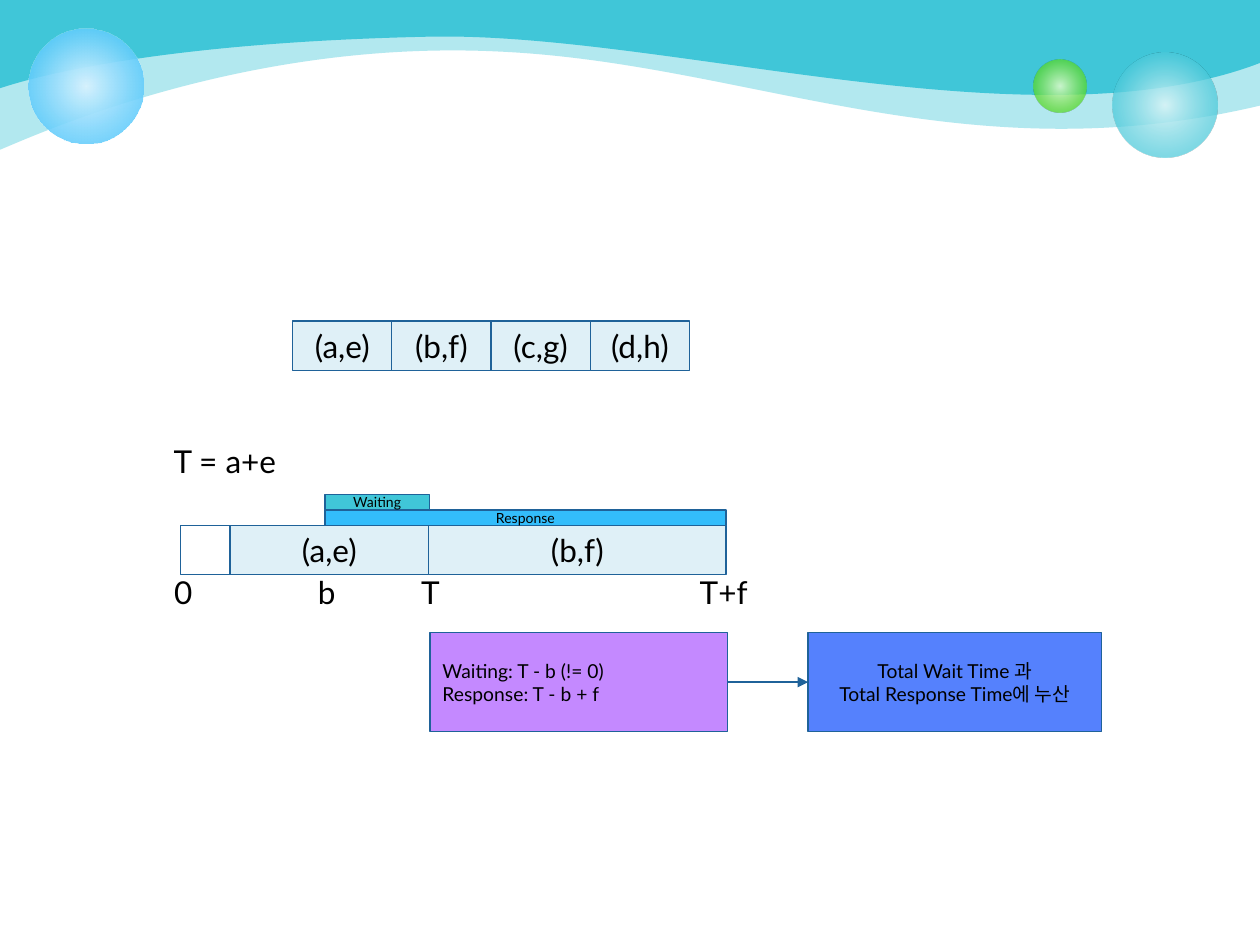
import itertools
from dataclasses import dataclass
from typing import Optional

import lxml.etree
import pptx
import pptx.dml.color
import pptx.enum.shapes
import pptx.enum.text
import pptx.oxml
import pptx.oxml.ns
import pptx.util

Cm = pptx.util.Cm
ALIGN = pptx.enum.text.PP_ALIGN
ANCHOR = pptx.enum.text.MSO_ANCHOR
SHAPES = pptx.enum.shapes.MSO_SHAPE
qn = pptx.oxml.ns.qn


@dataclass(frozen=True)
class Theme:
    font: str = "Lato"
    text: str = "000000"
    outline: str = "1F6299"
    job: str = "DFF0F7"
    idle: str = "FFFFFF"
    teal: str = "40C6D8"
    sky: str = "33BDFB"
    violet: str = "C489FF"
    blue: str = "5581FD"
    large: float = 18
    medium: float = 11
    small: float = 8
    line: float = 0.75


THEME = Theme()


@dataclass(frozen=True)
class Box:
    """A rectangle (or a plain label without fill), in centimetres."""
    text: str
    left: float
    top: float
    width: float
    height: float
    fill: Optional[str] = None
    size: float = THEME.large
    align: ALIGN = ALIGN.CENTER
    anchor: ANCHOR = ANCHOR.MIDDLE


@dataclass(frozen=True)
class Wave:
    """A header band: Bezier curves from the top left corner, in centimetres."""
    curves: tuple
    opacity: int


@dataclass(frozen=True)
class Bubble:
    left: float
    top: float
    size: float
    stops: tuple  # (position %, colour, opacity %)


def rgb(colour: str) -> pptx.dml.color.RGBColor:
    return pptx.dml.color.RGBColor.from_string(colour)


def write_text(shape, text: str, *, size: float, align: ALIGN, anchor: ANCHOR) -> None:
    frame = shape.text_frame
    frame.word_wrap = True
    frame.vertical_anchor = anchor
    frame.margin_left = frame.margin_right = Cm(0.25)
    frame.margin_top = frame.margin_bottom = Cm(0.25)
    frame.text = text
    for paragraph in frame.paragraphs:
        paragraph.alignment = align
        paragraph.font.name = THEME.font
        paragraph.font.size = pptx.util.Pt(size)
        paragraph.font.color.rgb = rgb(THEME.text)


def draw_box(slide, box: Box):
    place = Cm(box.left), Cm(box.top), Cm(box.width), Cm(box.height)
    if box.fill:
        shape = slide.shapes.add_shape(SHAPES.RECTANGLE, *place)
        shape.shadow.inherit = False
        shape.fill.solid()
        shape.fill.fore_color.rgb = rgb(box.fill)
        shape.line.color.rgb = rgb(THEME.outline)
        shape.line.width = pptx.util.Pt(THEME.line)
    else:
        shape = slide.shapes.add_textbox(*place)
    if box.text:
        write_text(shape, box.text, size=box.size, align=box.align, anchor=box.anchor)
    return shape


def draw_wave(slide, wave: Wave) -> None:
    builder = slide.shapes.build_freeform(0, 0, scale=1.0)
    builder.add_line_segments([(Cm(x), Cm(y)) for curve in wave.curves for x, y in curve])
    band = builder.convert_to_shape()
    # Turn every three straight segments into one cubic curve
    segments = list(band._element.spPr.iter(qn("a:lnTo")))
    for first in range(0, len(segments), 3):
        curve = lxml.etree.Element(qn("a:cubicBezTo"))
        segments[first].addprevious(curve)
        for segment in segments[first:first + 3]:
            curve.append(segment[0])
            segment.getparent().remove(segment)
    band.shadow.inherit = False
    band.fill.solid()
    band.fill.fore_color.rgb = rgb(THEME.teal)
    band.line.fill.background()
    if wave.opacity < 100:
        colour = band._element.spPr.find(qn("a:solidFill"))[0]
        lxml.etree.SubElement(colour, qn("a:alpha"), val=str(wave.opacity * 1000))


def draw_bubble(slide, bubble: Bubble) -> None:
    shape = slide.shapes.add_shape(SHAPES.OVAL, Cm(bubble.left), Cm(bubble.top),
                                   Cm(bubble.size), Cm(bubble.size))
    shape.shadow.inherit = False
    shape.line.fill.background()
    stops = "".join(
        f'<a:gs pos="{position * 1000}"><a:srgbClr val="{colour}">'
        f'<a:alpha val="{opacity * 1000}"/></a:srgbClr></a:gs>'
        for position, colour, opacity in bubble.stops)
    gradient = pptx.oxml.parse_xml(
        f'<a:gradFill {pptx.oxml.ns.nsdecls("a")} rotWithShape="1"><a:gsLst>{stops}</a:gsLst>'
        '<a:path path="circle"><a:fillToRect l="50000" t="50000" r="50000" b="50000"/>'
        '</a:path></a:gradFill>')
    shape._element.spPr.find(qn("a:prstGeom")).addnext(gradient)


def draw_arrow(slide, source, target) -> None:
    arrow = slide.shapes.add_connector(pptx.enum.shapes.MSO_CONNECTOR.STRAIGHT, 0, 0, 0, 0)
    arrow.begin_connect(source, 3)
    arrow.end_connect(target, 1)
    arrow.line.color.rgb = rgb(THEME.outline)
    arrow.line.width = pptx.util.Pt(THEME.line)
    outline = arrow._element.spPr.find(qn("a:ln"))
    lxml.etree.SubElement(outline, qn("a:tailEnd"), type="triangle")
    lxml.etree.SubElement(arrow._element.spPr, qn("a:effectLst"))


# Header decoration: left edge, two swells, right edge
WAVES = (
    Wave((((0, 1.19), (0, 1.85), (0, 3.02)),
          ((0.84, 2.67), (5, 0.79), (10.06, 1.04)),
          ((15.11, 1.27), (19.35, 3.56), (25.4, 2.13)),
          ((25.4, 1.42), (25.4, 0.71), (25.42, 0))), 40),
    Wave((((0, 0.71), (0, 1.04), (0, 1.78)),
          ((1.14, 1.4), (3.89, 0.84), (8.66, 0.74)),
          ((13.44, 0.64), (20.83, 3.02), (25.4, 1.27)),
          ((25.4, 0.84), (25.4, 0.41), (25.4, 0))), 100),
)
BUBBLES = (
    Bubble(22.43, 1.06, 2.11, ((0, "D9F4F7", 90), (76, THEME.teal, 70))),
    Bubble(20.83, 1.2, 1.07, ((0, "DAFACD", 90), (76, "4CD416", 70))),
    Bubble(0.58, 0.58, 2.31, ((0, "D6F2FE", 100), (100, THEME.sky, 80))),
)

# Job queue: equal cells
QUEUE = [Box(job, 5.9 + 2 * i, 6.47, 2, 1, THEME.job)
         for i, job in enumerate(("(a,e)", "(b,f)", "(c,g)", "(d,h)"))]

# Timeline: segments end to end, ticks underneath, spans on top
AXIS_LEFT, AXIS_TOP, ARRIVAL, BAR = 3.64, 10.59, 6.55, 0.31
SEGMENTS = (("", 1, THEME.idle), ("(a,e)", 4, THEME.job), ("(b,f)", 6, THEME.job))
STARTS = list(itertools.accumulate((width for _, width, _ in SEGMENTS), initial=AXIS_LEFT))
TIMELINE = [Box(job, start, AXIS_TOP, width, 1, fill)
            for start, (job, width, fill) in zip(STARTS, SEGMENTS)]
TICKS = [Box(text, left, AXIS_TOP + 1, width, 0.69, align=align)
         for text, left, width, align in (("0", 3.26, 0.74, ALIGN.CENTER),
                                          ("b", 5.99, 1.19, ALIGN.CENTER),
                                          ("T", 8.24, 0.84, ALIGN.LEFT),
                                          ("T+f", 13.65, 1.88, ALIGN.CENTER))]
SPANS = [Box(text, ARRIVAL, AXIS_TOP - BAR * level, width, BAR, fill, THEME.small)
         for level, text, width, fill in ((1, "Response", 8.09, THEME.sky),
                                          (2, "Waiting", 2.11, THEME.teal))]
FORMULA = Box("T = a+e", 3.25, 8.66, 11.33, 1.32, align=ALIGN.LEFT, anchor=ANCHOR.TOP)

# Results and their running totals
RESULTS = Box("Waiting: T - b (!= 0)\nResponse: T - b + f", 8.67, 12.75, 6, 2,
              THEME.violet, THEME.medium, ALIGN.LEFT)
TOTALS = Box("Total Wait Time 과\nTotal Response Time에 누산", 16.29, 12.75, 5.92, 2,
             THEME.blue, THEME.medium)


def main() -> None:
    deck = pptx.Presentation()
    deck.slide_width, deck.slide_height = Cm(25.4), Cm(19.05)
    slide = deck.slides.add_slide(deck.slide_layouts[6])
    for wave in WAVES:
        draw_wave(slide, wave)
    for bubble in BUBBLES:
        draw_bubble(slide, bubble)
    for box in (*QUEUE, *TIMELINE, *TICKS, FORMULA, *SPANS):
        draw_box(slide, box)
    draw_arrow(slide, draw_box(slide, RESULTS), draw_box(slide, TOTALS))
    deck.save("out.pptx")


if __name__ == "__main__":
    main()
